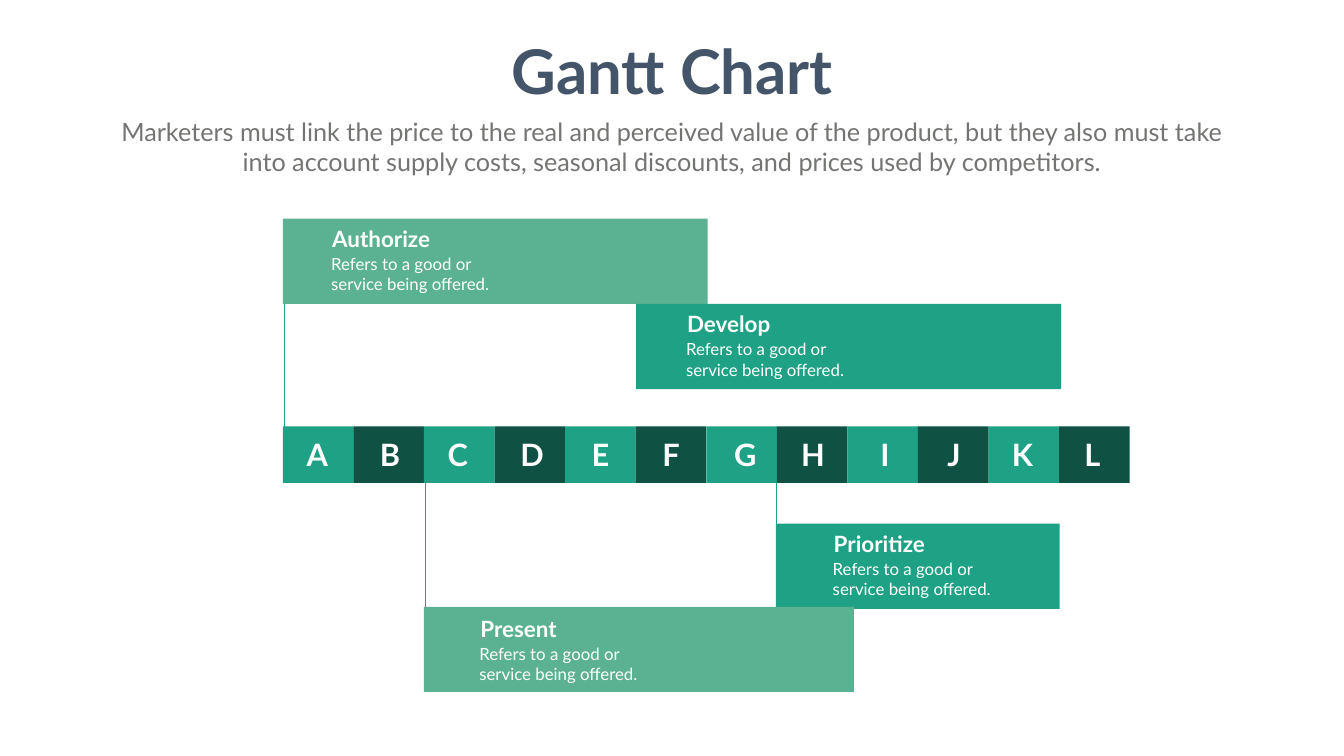
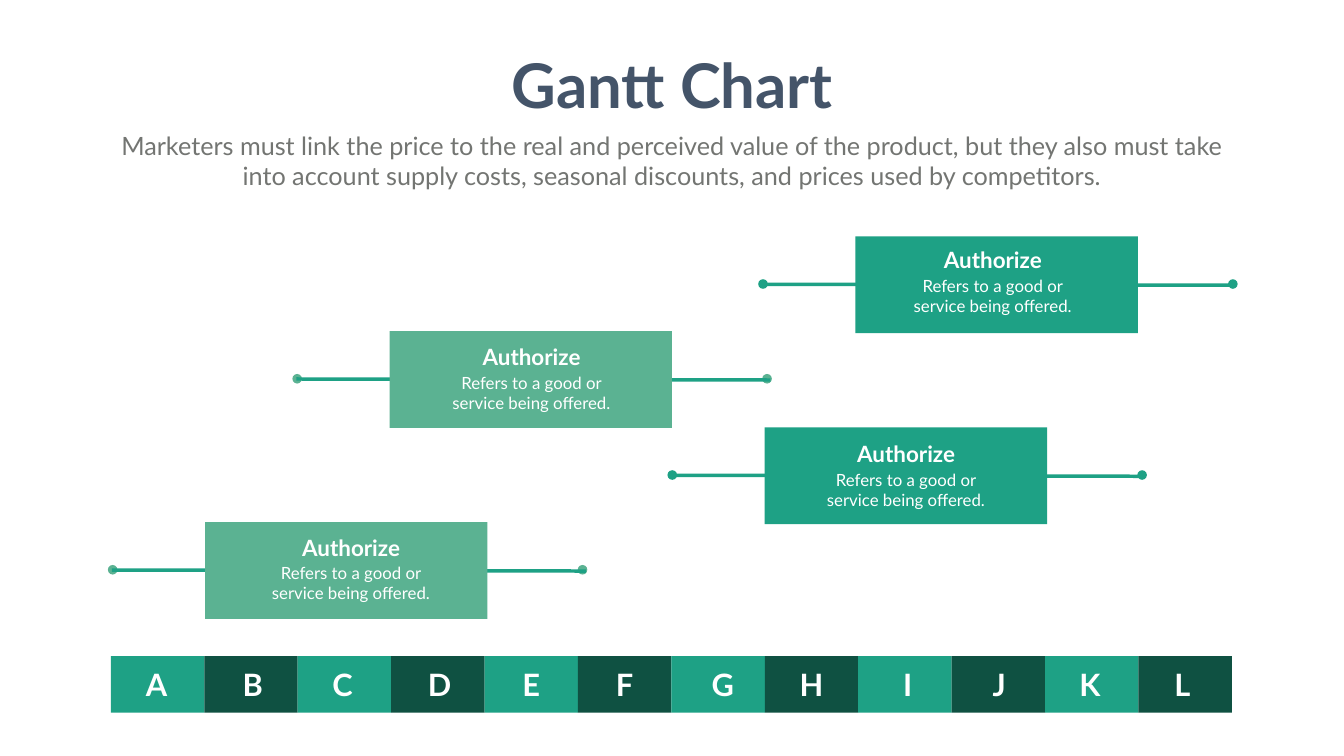
from lxml import etree
from pptx import Presentation
from pptx.dml.color import RGBColor
from pptx.enum import shapes, text
from pptx.oxml import ns
from pptx.util import Inches, Pt

GREEN, LIGHT, DARK = "1EA185", "5BB292", "0F5142"
NAVY, GREY, WHITE = "445469", "737572", "FFFFFF"
LEFT, CENTER = text.PP_ALIGN.LEFT, text.PP_ALIGN.CENTER
RECTANGLE, OVAL = shapes.MSO_SHAPE.RECTANGLE, shapes.MSO_SHAPE.OVAL

SUBTITLE = ("Marketers must link the price to the real and perceived value of the product, "
            "but they also must take into account supply costs, seasonal discounts, "
            "and prices used by competitors.")
CARD_TEXT = "Refers to a good or service being offered."
# Distance of each letter from the middle of its column, in column widths
LETTERS = {"A": -0.01, "B": 0.02, "C": -0.02, "D": 0.02, "E": 0, "F": 0,
           "G": 0.05, "H": 0, "I": 0.03, "J": 0.01, "K": -0.02, "L": -0.03}


def add_text(slide, content, at, size, color=WHITE, bold=False, align=LEFT, wrap=False, box=None):
    """Write text in a new text box, or in the given placeholder moved to the same place."""
    left, top, width, height = map(Inches, at)
    if box is None:
        box = slide.shapes.add_textbox(left, top, width, height)
    box.left, box.top, box.width, box.height = left, top, width, height
    frame = box.text_frame
    frame.text = content
    frame.word_wrap = wrap
    frame.auto_size = text.MSO_AUTO_SIZE.SHAPE_TO_FIT_TEXT
    frame.vertical_anchor = text.MSO_ANCHOR.TOP
    paragraph = frame.paragraphs[0]
    paragraph.alignment = align
    font = paragraph.runs[0].font
    font.name, font.size, font.bold = "Lato", Pt(size), bold
    font.color.rgb = RGBColor.from_string(color)


def add_filled(slide, kind, at, color):
    shape = slide.shapes.add_shape(kind, *map(Inches, at))
    shape.shadow.inherit = False
    shape.fill.solid()
    shape.fill.fore_color.rgb = RGBColor.from_string(color)
    shape.line.fill.background()


# Cards: heading, left, top, width, colour, heading left, top and width
stacked_cards = [
    ("Authorize", 5.61, 4.34, 8.43, LIGHT, 6.49, 4.41, 2.17),
    ("Develop", 12.62, 6.03, 8.43, GREEN, 13.53, 6.11, 1.88),
    ("Prioritize", 15.39, 10.39, 5.63, GREEN, 16.44, 10.46, 2.03),
    ("Present", 8.41, 12.04, 8.53, LIGHT, 9.43, 12.15, 1.74),
]
range_cards = [
    ("Authorize", 7.73, 6.57, 5.6, LIGHT, 9.46, 6.76, 2.17),
    ("Authorize", 16.97, 4.69, 5.6, GREEN, 18.61, 4.84, 2.17),
    ("Authorize", 15.17, 8.48, 5.6, GREEN, 16.89, 8.69, 2.17),
    ("Authorize", 4.07, 10.36, 5.6, LIGHT, 5.88, 10.54, 2.17),
]
drop_lines = [(5.63, 6.03, 5.63, 8.7), (8.43, 9.37, 8.43, 12.04), (15.39, 9.37, 15.39, 10.39)]
range_lines = [(left - 1.85, top + 0.95, left + 7.55, top + 0.97)
               for _, left, top, *_ in range_cards]
range_dots = [(left + shift, top + 0.85, color)
              for _, left, top, _, color, *_ in range_cards for shift in (-1.93, 7.39)]

charts = [
    dict(title_top=0.6, cards=stacked_cards, card_height=1.69, align=LEFT, body_shift=(-0.02, 0.57),
         lines=drop_lines, line_width=0.5, dots=[], scale=(5.61, 8.46, 1.4)),
    dict(title_top=0.88, cards=range_cards, card_height=1.92, align=CENTER, body_shift=(-0.88, 0.58),
         lines=range_lines, line_width=5, dots=range_dots, scale=(2.2, 13.02, 1.853)),
]

presentation = Presentation()
presentation.slide_width, presentation.slide_height = Inches(26.66), Inches(15)

for chart in charts:
    slide = presentation.slides.add_slide(presentation.slide_layouts[5])
    title_top = chart["title_top"]
    add_text(slide, "Gantt Chart", (9.97, title_top, 6.73, 1.58), 88, NAVY, bold=True,
             align=CENTER, box=slide.shapes.title)
    add_text(slide, SUBTITLE, (2.22, title_top + 1.66, 22.21, 1.31), 36, GREY,
             align=CENTER, wrap=True)

    for left, top, color in chart["dots"]:
        add_filled(slide, OVAL, (left, top, 0.19, 0.19), color)

    for ends in chart["lines"]:
        line = slide.shapes.add_connector(shapes.MSO_CONNECTOR.STRAIGHT, *map(Inches, ends))
        line.line.color.rgb = RGBColor.from_string(GREEN)
        line.line.width = Pt(chart["line_width"])
        etree.SubElement(line._element.spPr, ns.qn("a:effectLst"))

    for _, left, top, width, color, *_ in chart["cards"]:
        add_filled(slide, RECTANGLE, (left, top, width, chart["card_height"]), color)

    body_x, body_y = chart["body_shift"]
    for heading, *_, left, top, width in chart["cards"]:
        add_text(slide, CARD_TEXT, (left + body_x, top + body_y, 3.92, 0.91), 24,
                 align=chart["align"], wrap=True)
        add_text(slide, heading, (left, top, width, 0.64), 32, bold=True, align=chart["align"])

    scale_left, scale_top, column = chart["scale"]
    for index in range(len(LETTERS)):
        add_filled(slide, RECTANGLE, (scale_left + index * column, scale_top, column, 1.12),
                   DARK if index % 2 else GREEN)
    letter_width = 0.45 * column
    for index, (letter, nudge) in enumerate(LETTERS.items()):
        middle = scale_left + (index + 0.5 + nudge) * column
        add_text(slide, letter, (middle - letter_width / 2, scale_top + 0.14, letter_width, 0.84),
                 44, bold=True, align=CENTER)

presentation.save("out.pptx")
